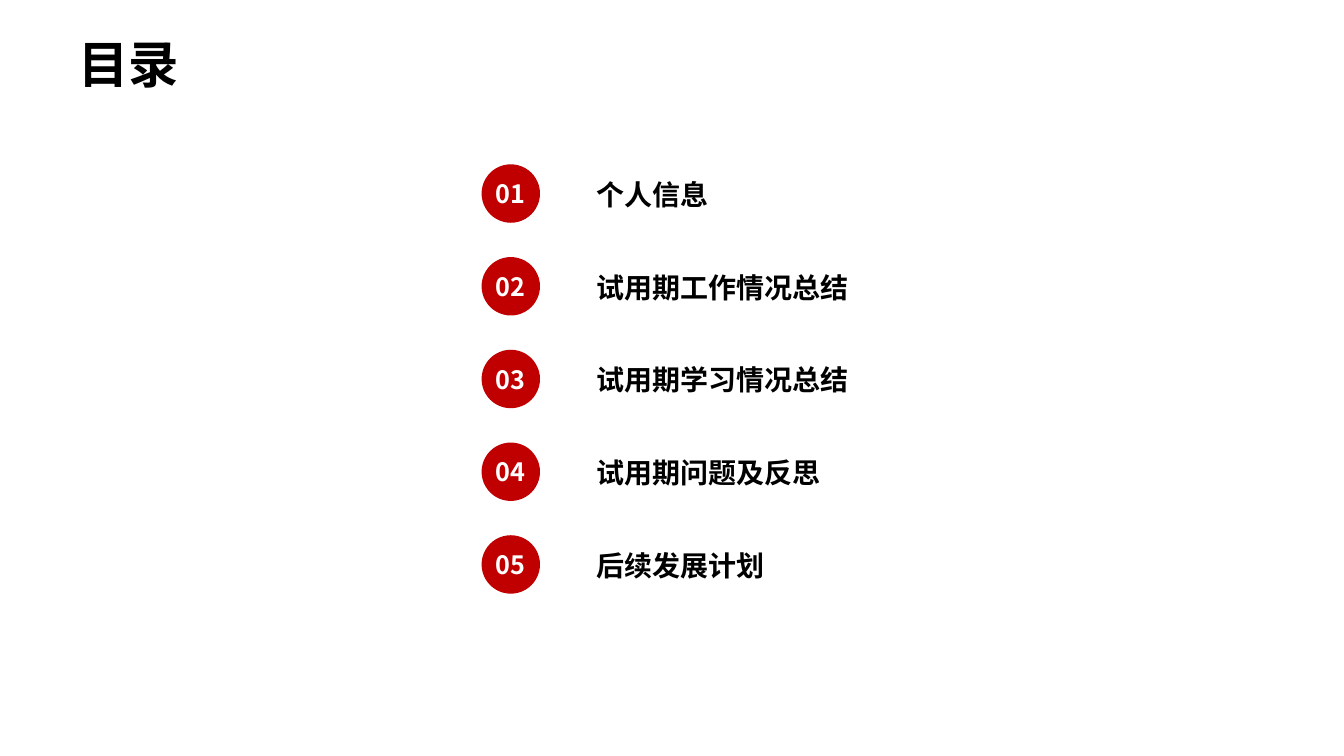
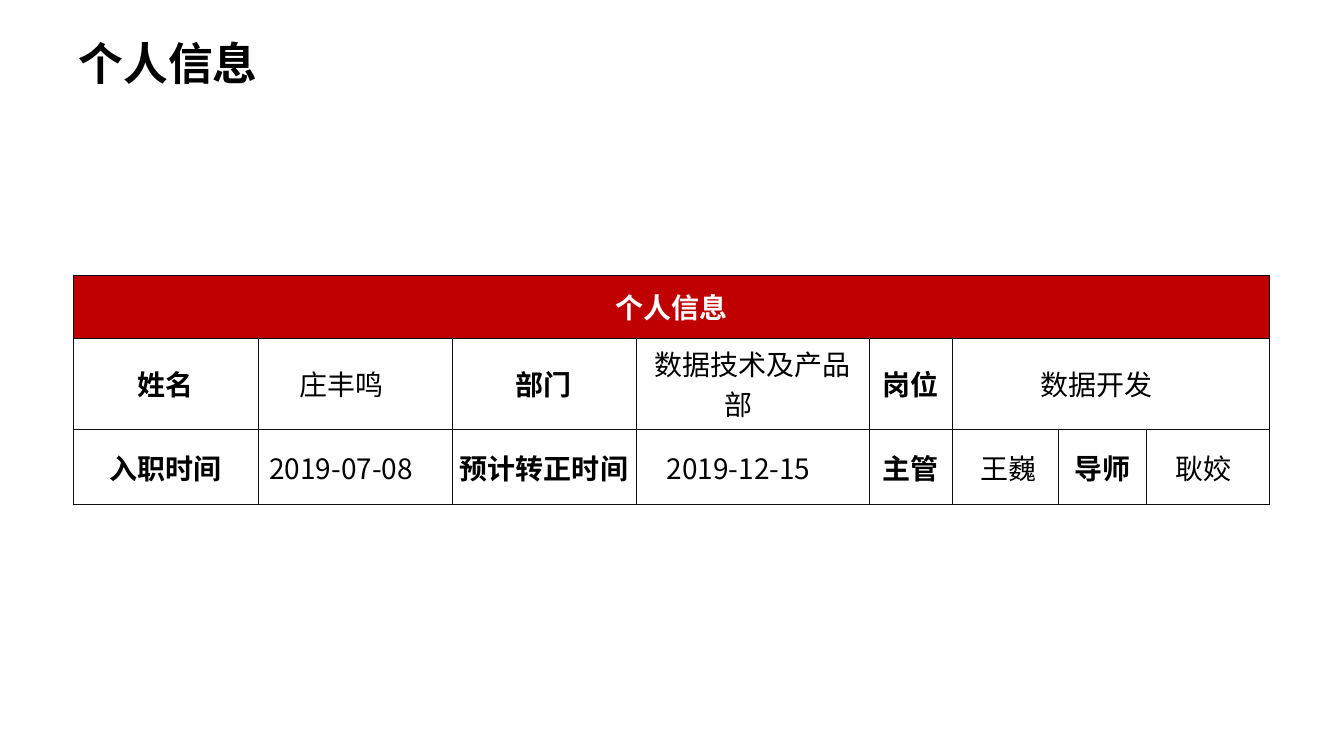
from lxml.etree import SubElement
from pptx import Presentation
from pptx.dml.color import RGBColor
from pptx.enum.shapes import MSO_SHAPE
from pptx.enum.text import MSO_ANCHOR, MSO_AUTO_SIZE, PP_ALIGN
from pptx.oxml import parse_xml
from pptx.oxml.ns import nsdecls, qn
from pptx.util import Inches, Pt

COLORS = {"accent": "C00000", "ink": "000000", "paper": "FFFFFF", "border": "0D0D0D"}
FONT = "Noto Sans CJK SC"
NAME_FONT = "Arial"

AGENDA = ["个人信息", "试用期工作情况总结", "试用期学习情况总结", "试用期问题及反思", "后续发展计划"]
PROFILE_HEADING = "个人信息"
PROFILE_ROWS = [
    ["姓名", "庄丰鸣　", "部门", "数据技术及产品部　", "岗位", "数据开发　"],
    ["入职时间", "2019-07-08　", "预计转正时间", "2019-12-15　", "主管", "　王巍", "导师", "　耿姣"],
]
COLUMN_WIDTHS = [1.83, 1.93, 1.82, 2.32, 0.82, 1.05, 0.88, 1.22]
ROW_HEIGHTS = [0.62, 0.68, 0.75]


def rgb(name):
    """Return the palette colour called name."""
    return RGBColor.from_string(COLORS[name])


def write(frame, text, size, color="ink", bold=True, align=PP_ALIGN.LEFT, font=FONT):
    """Write one formatted run into the first paragraph of a text frame."""
    paragraph = frame.paragraphs[0]
    paragraph.alignment = align
    run = paragraph.add_run()
    run.text = text
    run.font.size = Pt(size)
    run.font.bold = bold
    run.font.name = font
    run.font.color.rgb = rgb(color)
    SubElement(run.font._element, qn("a:ea")).set("typeface", FONT)


def set_margins(box, horizontal, vertical):
    """Set equal side margins and equal top and bottom margins."""
    box.margin_left = box.margin_right = Inches(horizontal)
    box.margin_top = box.margin_bottom = Inches(vertical)


def add_titled_slide(prs, text, size, width):
    """Add a title-only slide with the shared title style."""
    slide = prs.slides.add_slide(prs.slide_layouts[5])
    title = slide.shapes.title
    title.left, title.top = Inches(0.68), Inches(0)
    title.width, title.height = Inches(width), Inches(1.25)
    frame = title.text_frame
    frame.auto_size = MSO_AUTO_SIZE.NONE
    frame.vertical_anchor = MSO_ANCHOR.MIDDLE
    write(frame, text, size)
    return slide


def add_agenda_item(slide, left, top, number, topic):
    """Add a numbered badge and its topic as one group."""
    shapes = slide.shapes.add_group_shape().shapes
    label = shapes.add_textbox(Inches(left + 1.04), Inches(top + 0.08), Inches(3.31), Inches(0.44))
    label.text_frame.word_wrap = True
    write(label.text_frame, topic, 20)

    badge = shapes.add_shape(MSO_SHAPE.OVAL, Inches(left), Inches(top), Inches(0.58), Inches(0.58))
    badge.shadow.inherit = False
    badge.fill.solid()
    badge.fill.fore_color.rgb = rgb("accent")
    badge.line.fill.background()
    frame = badge.text_frame
    set_margins(frame, 0, 0)
    frame.vertical_anchor = MSO_ANCHOR.MIDDLE
    write(frame, f"{number:02d}", 18, "paper", align=PP_ALIGN.CENTER)


def add_agenda(slide, left, top, pitch):
    """Stack the agenda items at an equal pitch."""
    for index, topic in enumerate(AGENDA):
        add_agenda_item(slide, left, top + index * pitch, index + 1, topic)


def style_cell(cell, fill):
    """Give a cell its fill, margins, anchor and thin borders."""
    cell.fill.solid()
    cell.fill.fore_color.rgb = rgb(fill)
    cell.vertical_anchor = MSO_ANCHOR.MIDDLE
    set_margins(cell, 0.01, 0.05)
    properties = cell._tc.get_or_add_tcPr()
    for index, side in enumerate(("lnL", "lnR", "lnT", "lnB")):
        properties.insert(index, parse_xml(
            f'<a:{side} {nsdecls("a")} w="{Pt(0.23)}"><a:solidFill>'
            f'<a:srgbClr val="{COLORS["border"]}"/></a:solidFill></a:{side}>'))


def add_profile_table(slide, left, top):
    """Add the profile table with a merged heading row."""
    table = slide.shapes.add_table(
        len(ROW_HEIGHTS), len(COLUMN_WIDTHS), Inches(left), Inches(top),
        Inches(sum(COLUMN_WIDTHS)), Inches(sum(ROW_HEIGHTS))).table
    for column, width in zip(table.columns, COLUMN_WIDTHS):
        column.width = Inches(width)
    for row_index, (row, height) in enumerate(zip(table.rows, ROW_HEIGHTS)):
        row.height = Inches(height)
        for cell in row.cells:
            style_cell(cell, "paper" if row_index else "accent")

    table.cell(0, 0).merge(table.cell(0, 7))
    table.cell(1, 5).merge(table.cell(1, 7))
    write(table.cell(0, 0).text_frame, PROFILE_HEADING, 20, "paper", align=PP_ALIGN.CENTER)
    for row_index, entries in enumerate(PROFILE_ROWS, 1):
        for column_index, entry in enumerate(entries):
            indented = entry.startswith("　")
            write(table.cell(row_index, column_index).text_frame, entry, 20,
                  bold=column_index % 2 == 0,
                  align=PP_ALIGN.LEFT if indented else PP_ALIGN.CENTER,
                  font=NAME_FONT if indented else FONT)


def main():
    """Build and save both slides."""
    prs = Presentation()
    prs.slide_width, prs.slide_height = Inches(13.34), Inches(7.5)
    add_agenda(add_titled_slide(prs, "目录", 36, 1.31), 4.78, 1.63, 0.92)
    add_profile_table(add_titled_slide(prs, PROFILE_HEADING, 32, 2.28), 0.73, 2.73)
    prs.save("out.pptx")


if __name__ == "__main__":
    main()
